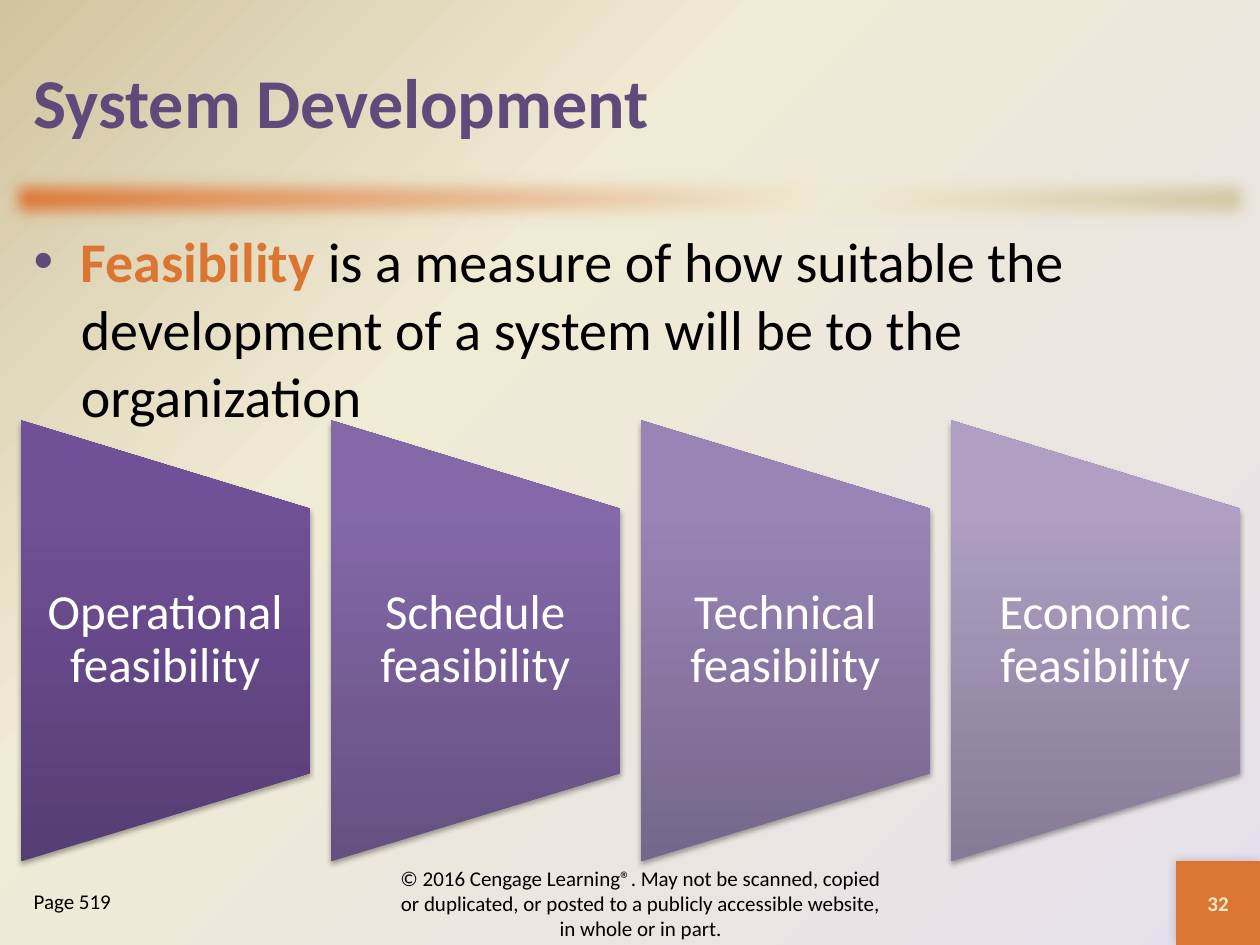
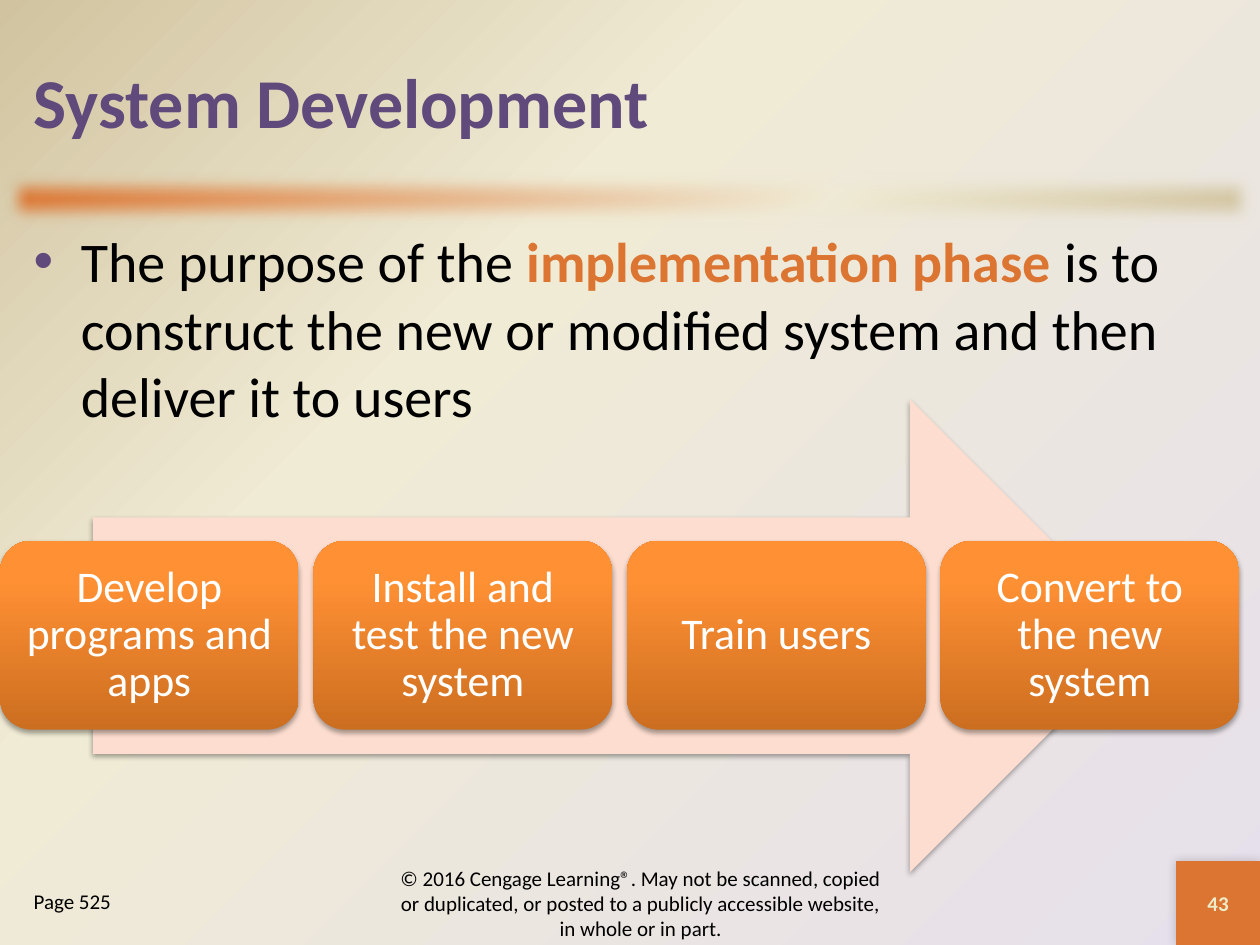
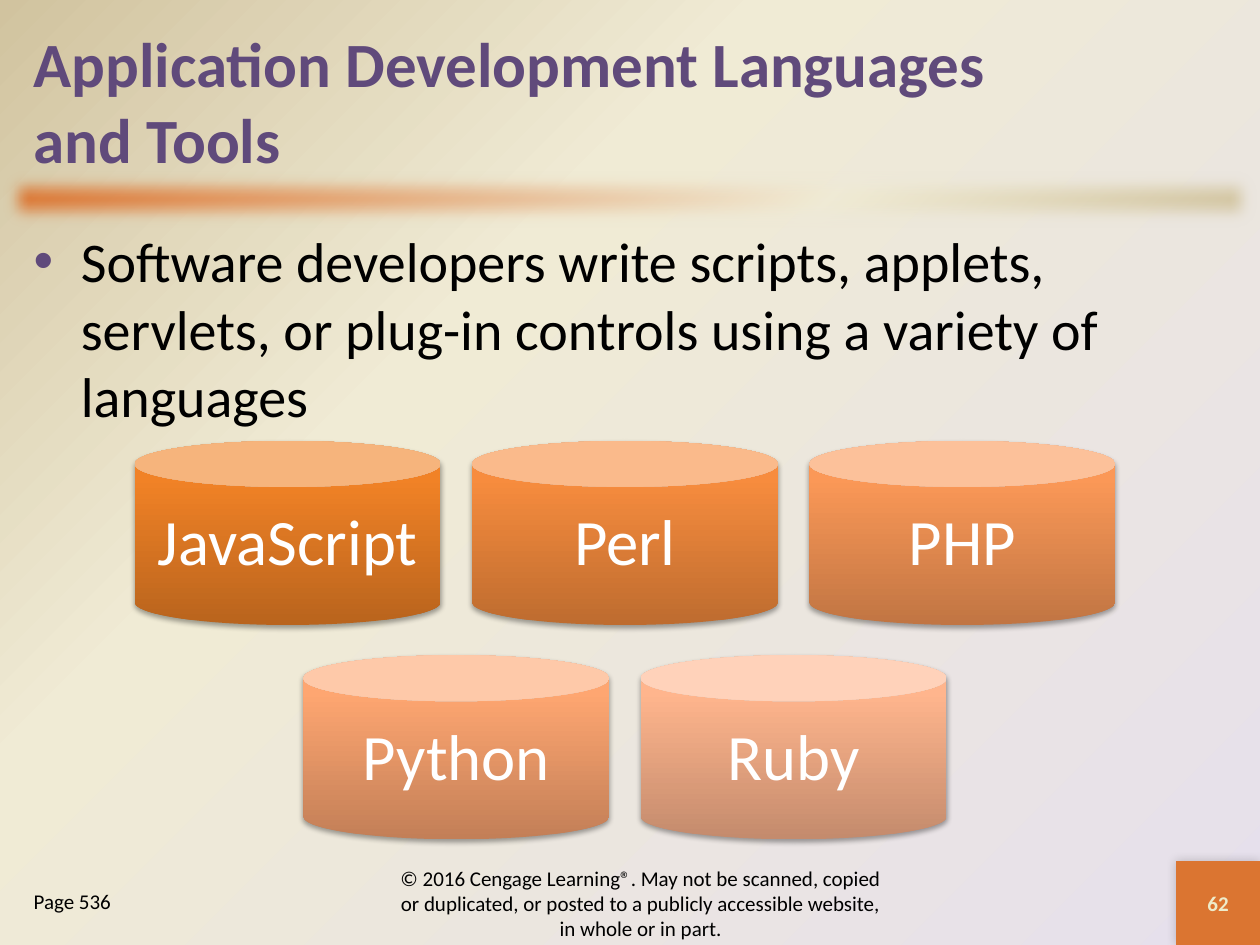
from copy import deepcopy

from lxml import etree
from pptx import Presentation
from pptx.dml.color import RGBColor
from pptx.enum.shapes import MSO_SHAPE
from pptx.enum.text import MSO_ANCHOR, PP_ALIGN
from pptx.oxml.ns import qn
from pptx.util import Cm, Pt

CENTER = PP_ALIGN.CENTER
LEFT = PP_ALIGN.LEFT
MIDDLE = MSO_ANCHOR.MIDDLE
TOP = MSO_ANCHOR.TOP
RECTANGLE = MSO_SHAPE.RECTANGLE
ROUNDED = MSO_SHAPE.ROUNDED_RECTANGLE
ARROW = MSO_SHAPE.RIGHT_ARROW
TRAPEZOID = MSO_SHAPE.FLOWCHART_MANUAL_OPERATION
CAN = MSO_SHAPE.CAN

FONT = "Calibri"
PURPLE, ORANGE, CREAM, SAND, LILAC = "604A7B", "DB7531", "F0EBD5", "D1C39F", "E6E0EC"
BLACK, WHITE, PALE_YELLOW, PALE_PINK = "000000", "FFFFFF", "EEEBCA", "FCDDCF"
COPYRIGHT = ("© 2016 Cengage Learning®. May not be scanned, copied or duplicated, "
             "or posted to a publicly accessible website, in whole or in part.")

TITLE = {"size": Pt(40), "bold": True, "color": PURPLE}
LONG_TITLE = {**TITLE, "size": Pt(36)}
BODY = {"size": Pt(32), "bold": False, "color": BLACK}
KEY_TERM = {**BODY, "bold": True, "color": ORANGE}
FOOTER = {"size": Pt(12), "bold": False, "color": BLACK}
NUMBER = {"size": Pt(12), "bold": True, "color": PALE_YELLOW}
CAPTION = {"bold": False, "color": WHITE}

THEME_STOPS = (0, 0.65, 1)
BLOCK_STOPS = (0, 0.8, 1)
BLOCK_SHADOW = {"blurRad": Pt(3.1), "dist": Pt(1.8), "dir": 90 * 60000}
CORNER_SHADOW = {"blurRad": Pt(6), "dist": 0, "dir": 225 * 60000}
CORNER_AREA = (23.71, 17.36, 1.69, 1.69)
HANGING = Cm(0.95)

FEASIBILITIES = [
    ("Operational feasibility", ("563D74", "705097", "704F99")),
    ("Schedule feasibility", ("655081", "8468A8", "8467AA")),
    ("Technical feasibility", ("75668B", "9884B5", "9984B7")),
    ("Economic feasibility", ("867B96", "AE9FC3", "AE9FC4")),
]
STEPS = ["Develop programs and apps", "Install and test the new system",
         "Train users", "Convert to the new system"]
STEP_FILL = ("CC6E20", "FF9034", "FF9136")
LANGUAGE_ROWS = [
    [("JavaScript", ("B9641D", "F18226", "F68222")),
     ("Perl", ("BE6C2F", "F78C3E", "FB8C3A")),
     ("PHP", ("C17543", "FB9857", "FF9854"))],
    [("Python", ("C37F57", "FEA671", "FFA672")),
     ("Ruby", ("C48B6D", "FFB58D", "FFB68F"))],
]


def rgb(color):
    """Turn a hex string into a colour."""
    return RGBColor.from_string(color)


def lengths(area):
    """Turn centimetres into lengths."""
    return [Cm(value) for value in area]


def add_xml(parent, tag, **attributes):
    """Append a drawing element with the given attributes."""
    child = etree.SubElement(parent, qn(f"a:{tag}"))
    for name, value in attributes.items():
        child.set(name, str(value))
    return child


def apply_gradient(fill, element, colors, positions, angle):
    """Apply a three-stop linear gradient and return its element."""
    fill.gradient()
    gradient = next(element.iter(qn("a:gradFill")))
    gradient.set("rotWithShape", "0")
    stops = gradient.find(qn("a:gsLst"))
    stops.append(deepcopy(stops[0]))
    for stop, color, position in zip(fill.gradient_stops, colors, positions):
        stop.color.rgb = rgb(color)
        stop.position = position
    gradient.find(qn("a:lin")).set("ang", str(angle * 60000))
    return gradient


def paint_background(slide):
    """Shade the slide from its bottom right corner."""
    gradient = apply_gradient(slide.background.fill, slide.element,
                              (LILAC, CREAM, SAND), THEME_STOPS, 0)
    gradient.remove(gradient.find(qn("a:lin")))
    corner = add_xml(gradient, "path", path="circle")
    add_xml(corner, "fillToRect", l=100000, t=100000)


def add_panel(slide, preset, area, fill, positions=BLOCK_STOPS, angle=270):
    """Add an outline-free shape with a plain or gradient fill."""
    panel = slide.shapes.add_shape(preset, *lengths(area))
    panel.shadow.inherit = False
    panel.line.fill.background()
    if isinstance(fill, str):
        panel.fill.solid()
        panel.fill.fore_color.rgb = rgb(fill)
    else:
        apply_gradient(panel.fill, panel.element, fill, positions, angle)
    return panel


def effects(panel):
    """Return the effect list of a shape."""
    return next(panel.element.iter(qn("a:effectLst")))


def add_shadow(panel, shadow, opacity):
    """Cast a black outer shadow."""
    cast = add_xml(effects(panel), "outerShdw", rotWithShape=0, **shadow)
    black = add_xml(cast, "srgbClr", val=BLACK)
    add_xml(black, "alpha", val=opacity * 1000)


def add_text(slide, area, parts, anchor=MIDDLE, align=LEFT, insets=None):
    """Add a one-paragraph text box from (text, format) parts."""
    frame = slide.shapes.add_textbox(*lengths(area)).text_frame
    frame.word_wrap = True
    frame.vertical_anchor = anchor
    if insets:
        (frame.margin_left, frame.margin_top,
         frame.margin_right, frame.margin_bottom) = lengths(insets)
    paragraph = frame.paragraphs[0]
    paragraph.alignment = align
    for text, style in parts:
        for index, line in enumerate(text.split("\n")):
            if index:
                paragraph.add_line_break()
            run = paragraph.add_run()
            run.text = line
            format_font(run.font, style)
    return paragraph


def format_font(font, style):
    """Set the font attributes of a style."""
    font.name = FONT
    for name, value in style.items():
        if name == "color":
            font.color.rgb = rgb(value)
        else:
            setattr(font, name, value)


def add_bullet_text(slide, parts):
    """Add the bulleted statement below the title."""
    statement = add_text(slide, (0.43, 4.45, 24.55, 12.9), parts, TOP)
    properties = statement._p.get_or_add_pPr()
    properties.set("marL", str(HANGING))
    properties.set("indent", str(-HANGING))
    add_xml(add_xml(properties, "buClr"), "srgbClr", val=PURPLE)
    add_xml(properties, "buFont", typeface="Arial")
    add_xml(properties, "buChar", char="•")


def add_block(slide, preset, area, fill, rotation=0):
    """Add a shadowed diagram block."""
    block = add_panel(slide, preset, area, fill)
    block.rotation = rotation
    add_shadow(block, BLOCK_SHADOW, 35)


def add_caption(slide, area, text, size, insets):
    """Add the white centred label of a diagram block."""
    caption = add_text(slide, area, [(text, {**CAPTION, "size": Pt(size)})],
                       align=CENTER, insets=insets)
    caption.line_spacing = 0.9


def add_base_slide(deck, title, title_style, statement, page, number):
    """Add a slide with title, band, statement and footers."""
    slide = deck.slides.add_slide(deck.slide_layouts[6])
    paint_background(slide)
    band = add_panel(slide, RECTANGLE, (0, 3.38, 25.4, 1.27),
                     (ORANGE, CREAM, SAND), THEME_STOPS, 45)
    add_xml(effects(band), "softEdge", rad=Pt(10))
    corner = add_panel(slide, RECTANGLE, CORNER_AREA, ORANGE)
    add_shadow(corner, CORNER_SHADOW, 20)
    add_text(slide, (0.43, 0.43, 24.55, 3.18), [(title, title_style)])
    add_bullet_text(slide, statement)
    add_text(slide, (7.62, 17.57, 10.59, 1.27), [(COPYRIGHT, FOOTER)],
             align=CENTER, insets=(0.3, 0.13, 0.3, 0.13))
    add_text(slide, CORNER_AREA, [(number, NUMBER)], align=CENTER)
    add_text(slide, (0.43, 17.78, 4.65, 1.27), [(page, FOOTER)], TOP)
    return slide


def add_feasibility_diagram(slide):
    """Add the row of trapezoids for the feasibility tests."""
    for index, (name, fill) in enumerate(FEASIBILITIES):
        shift = index * 6.25
        add_block(slide, TRAPEZOID, (shift - 1.11, 10.01, 8.89, 5.82), fill, 270)
        add_caption(slide, (shift + 0.43, 10.24, 5.82, 5.33), name, 28,
                    (0.48, 0, 0.5, 0))


def add_implementation_diagram(slide):
    """Add the arrow with its four implementation steps."""
    add_block(slide, ARROW, (1.88, 8.05, 21.23, 9.53), PALE_PINK)
    for index, step in enumerate(STEPS):
        left = index * 6.32
        add_block(slide, ROUNDED, (left, 10.9, 6.02, 3.81), STEP_FILL)
        add_caption(slide, (left + 0.19, 11.09, 5.64, 3.43), step, 25, [0.25] * 4)


def add_language_diagram(slide):
    """Add centred rows of cans for the languages."""
    width, pitch = 6.17, 6.8
    for row_index, row in enumerate(LANGUAGE_ROWS):
        top = 8.89 + row_index * 4.32
        first_left = 12.6 - ((len(row) - 1) * pitch + width) / 2
        for index, (language, fill) in enumerate(row):
            left = first_left + index * pitch
            add_block(slide, CAN, (left, top, width, 3.71), fill)
            add_caption(slide, (left, top + 0.94, width, 2.31), language, 37,
                        [0.38] * 4)


def main():
    """Build and save the slides."""
    deck = Presentation()
    deck.slide_width, deck.slide_height = Cm(25.4), Cm(19.05)

    feasibility = add_base_slide(
        deck, "System Development", TITLE,
        [("Feasibility ", KEY_TERM),
         ("is a measure of how suitable the development of a system "
          "will be to the organization", BODY)],
        "Page 519", "32")
    add_feasibility_diagram(feasibility)

    implementation = add_base_slide(
        deck, "System Development", TITLE,
        [("The purpose of the ", BODY), ("implementation phase ", KEY_TERM),
         ("is to construct the new or modified system and then "
          "deliver it to users", BODY)],
        "Page 525", "43")
    add_implementation_diagram(implementation)

    languages = add_base_slide(
        deck, "Application Development Languages\nand Tools", LONG_TITLE,
        [("Software developers write scripts, applets, servlets, or plug-in "
          "controls using a variety of languages", BODY)],
        "Page 536", "62")
    add_language_diagram(languages)

    deck.save("out.pptx")


if __name__ == "__main__":
    main()
